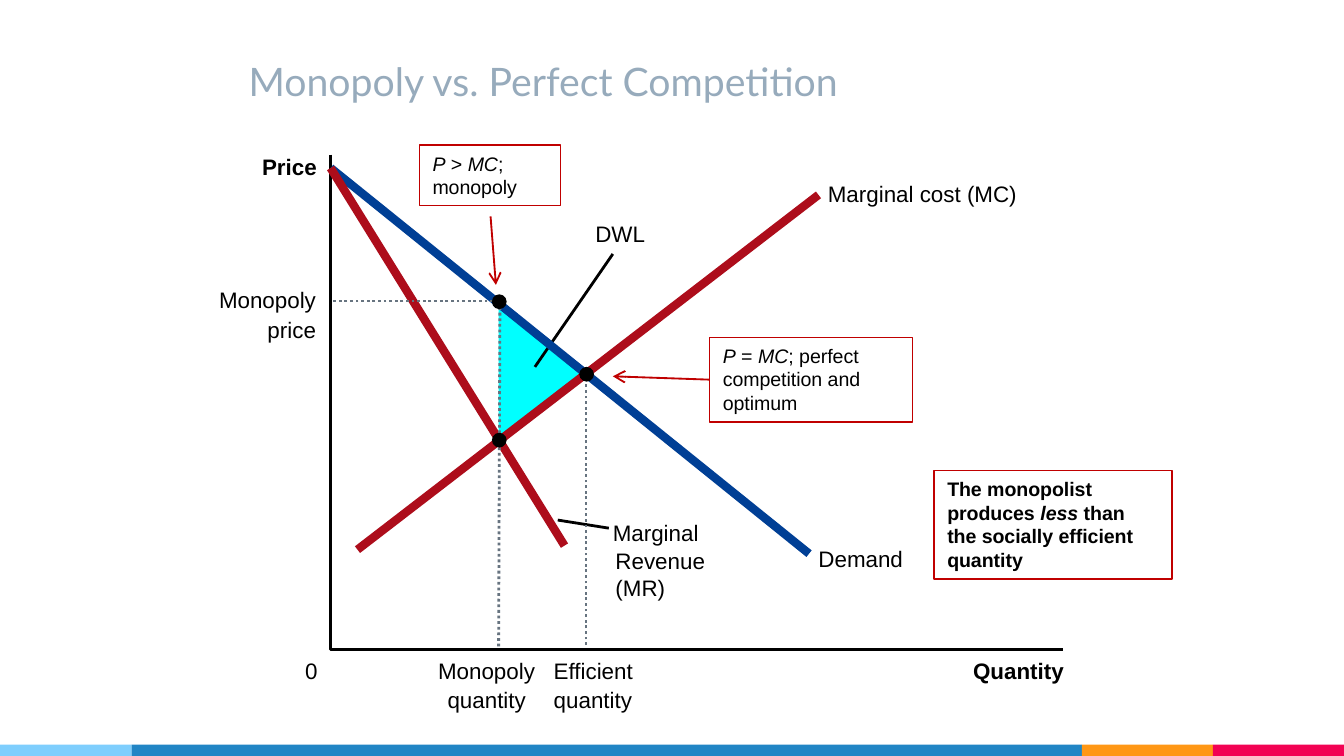
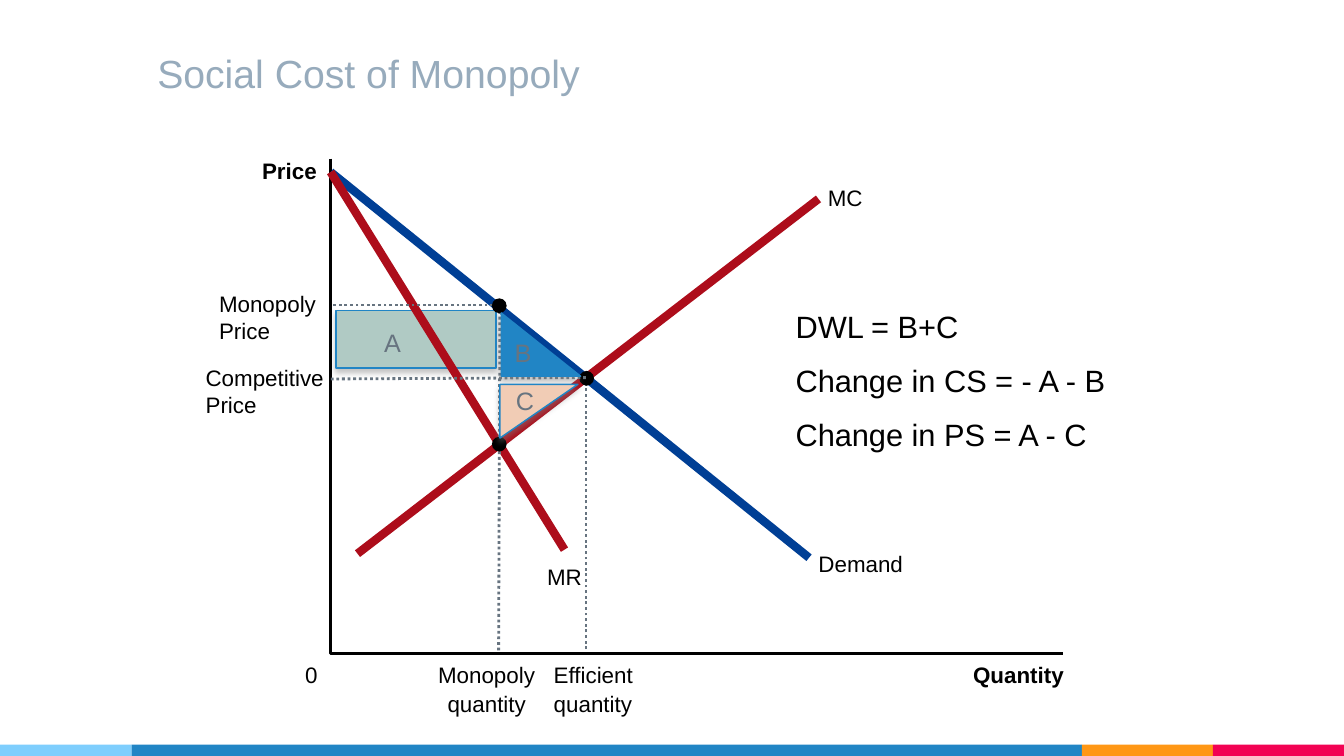
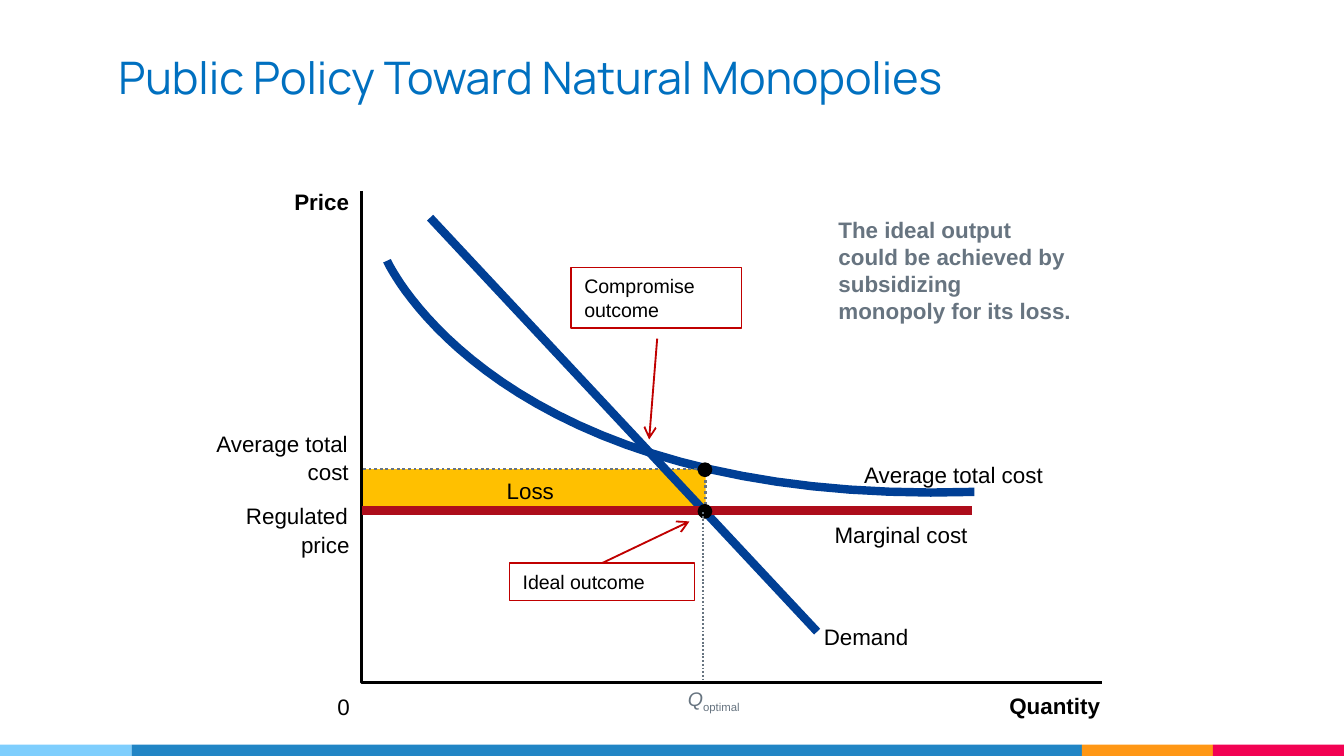
"""Build three economics slides on monopoly, its social cost and natural monopolies."""
import dataclasses

import pptx
import pptx.dml.color
import pptx.enum.dml
import pptx.enum.shapes
import pptx.enum.text
import pptx.oxml
import pptx.oxml.ns
import pptx.util


@dataclasses.dataclass(frozen=True)
class Theme:
    black: str = "000000"
    grey: str = "677480"
    pale: str = "97ABBC"
    heading: str = "0070C0"
    blue: str = "2185C5"
    sky: str = "7ECEFD"
    orange: str = "FF9715"
    pink: str = "F20253"
    demand: str = "003F95"
    cost: str = "AD0D1B"
    callout: str = "C00000"
    deadweight: str = "00FFFF"
    loss: str = "FFC000"
    transfer: str = "B0CAC4"
    producer: str = "F1CCB5"
    font: str = "Arial"
    policy_size: float = 24
    title_size: float = 21
    formula_size: float = 16.5
    letter_size: float = 13.5
    label_size: float = 12
    callout_size: float = 10.5
    curve: float = 4.5
    axis: float = 1.5
    arrow: float = 1


theme = Theme()
rgb = pptx.dml.color.RGBColor.from_string
Pt = pptx.util.Pt
preset = pptx.enum.shapes.MSO_SHAPE
dotted = pptx.enum.dml.MSO_LINE.ROUND_DOT

deck = pptx.Presentation()
deck.slide_width = pptx.util.Inches(10)
deck.slide_height = pptx.util.Inches(5.625)
cell = deck.slide_width // 100


def write(frame, lines, size, color=theme.black, font=theme.font, inset=0, wrap=True, gap=0):
    """Fill a text frame; each line is a list of (text, style) runs."""
    frame.word_wrap = wrap
    frame.auto_size = pptx.enum.text.MSO_AUTO_SIZE.SHAPE_TO_FIT_TEXT
    frame.vertical_anchor = pptx.enum.text.MSO_ANCHOR.TOP
    frame.margin_left = frame.margin_right = int(cell * inset)
    frame.margin_top = frame.margin_bottom = int(cell * inset / 2)
    for number, line in enumerate(lines):
        paragraph = frame.add_paragraph() if number else frame.paragraphs[0]
        paragraph.alignment = pptx.enum.text.PP_ALIGN.LEFT
        paragraph.space_before = Pt(gap if number else 0)
        for text, style in line:
            run = paragraph.add_run()
            run.text = text
            run.font.size, run.font.name = Pt(size), font
            run.font.color.rgb = rgb(color)
            run.font.bold, run.font.italic = "b" in style, "i" in style
            if "s" in style:
                run._r.get_or_add_rPr().set("baseline", "-25000")


def draw_line(slide, start, end, color, weight, dash=None, arrow=False):
    """Join two grid points with a straight line."""
    line = slide.shapes.add_connector(
        pptx.enum.shapes.MSO_CONNECTOR.STRAIGHT, *(int(cell * n) for n in (*start, *end)))
    line.line.color.rgb = rgb(color)
    line.line.width = Pt(weight)
    if dash:
        line.line.dash_style = dash
    if arrow:
        head = pptx.oxml.parse_xml(f'<a:tailEnd {pptx.oxml.ns.nsdecls("a")} type="arrow"/>')
        line.line._get_or_add_ln().append(head)
    line.element.spPr.append(pptx.oxml.parse_xml(f'<a:effectLst {pptx.oxml.ns.nsdecls("a")}/>'))
    return line


layout = deck.slide_layouts[5]
headings = [
    ("Monopoly vs. Perfect Competition", (17.5, 0.7, 66.9, 8.1), theme.title_size, theme.pale, "Lato"),
    ("Social Cost of Monopoly", (10.7, 0.1, 66.9, 8.1), theme.title_size, theme.pale, theme.font),
    ("Public Policy Toward Natural Monopolies", (7.8, 4.7, 71, 4), theme.policy_size,
     theme.heading, "Manrope"),
]
slides = []
for text, box, size, color, font in headings:
    slide = deck.slides.add_slide(layout)
    title = slide.shapes.title
    title.left, title.top, title.width, title.height = (int(cell * n) for n in box)
    write(title.text_frame, [[(text, "")]], size, color, font, inset=1)
    title.text_frame.auto_size = pptx.enum.text.MSO_AUTO_SIZE.NONE
    title.text_frame.vertical_anchor = pptx.enum.text.MSO_ANCHOR.BOTTOM
    title.text_frame.margin_bottom = cell
    slides.append(slide)
competition, social, policy = slides

band_left = 0
for number, (width, color) in enumerate(
        [(9.8, theme.sky), (70.7, theme.blue), (9.75, theme.orange), (9.75, theme.pink)]):
    band = competition.shapes.add_shape(
        preset.RECTANGLE, *(int(cell * n) for n in (band_left, 55.4, width, 0.85)))
    band.shadow.inherit = False
    band.fill.solid()
    band.fill.fore_color.rgb = rgb(color)
    band.line.fill.background()
    band.element.nvSpPr.cNvPr.id = 20 + number
    layout.shapes.element.append(band.element)
    band_left += width

loss = policy.shapes.add_shape(preset.RECTANGLE, *(int(cell * n) for n in (27, 34.9, 25.5, 3.2)))
loss.shadow.inherit = False
loss.fill.solid()
loss.fill.fore_color.rgb = rgb(theme.loss)
loss.line.fill.background()

average_cost = []
for step in range(33):
    t = step / 32
    weights = ((1 - t) ** 3, 3 * t * (1 - t) ** 2, 3 * t * t * (1 - t), t ** 3)
    average_cost.append(tuple(
        sum(w * n for w, n in zip(weights, axis))
        for axis in ((28.8, 28.8, 37, 72.5), (19.4, 19.4, 37.7, 36.6))))

outlines = [
    (competition, [(37.1, 22.4), (37.1, 32.7), (43.6, 27.8)], theme.deadweight, None, 0, None),
    (competition, [(24.6, 11.5), (24.6, 48.3), (79.1, 48.3)], None, theme.black, theme.axis, None),
    (social, [(24.6, 11.8), (24.6, 48.6), (79.1, 48.6)], None, theme.black, theme.axis, None),
    (policy, [(26.9, 14.2), (26.9, 50.8), (82, 50.8)], None, theme.black, theme.axis, None),
    (policy, average_cost, None, theme.demand, theme.curve, None),
    (policy, [(52.5, 38), (52.5, 34.9), (27, 34.9)], None, theme.grey, theme.axis, dotted),
]
for slide, points, fill, color, weight, dash in outlines:
    corners = [(int(cell * x), int(cell * y)) for x, y in points]
    builder = slide.shapes.build_freeform(*corners[0])
    builder.add_line_segments(corners[1:], close=fill is not None)
    outline = builder.convert_to_shape()
    outline.shadow.inherit = False
    if fill:
        outline.fill.solid()
        outline.fill.fore_color.rgb = rgb(fill)
        outline.line.fill.background()
    else:
        outline.fill.background()
        outline.line.color.rgb = rgb(color)
        outline.line.width = Pt(weight)
        outline.line.dash_style = dash

draw_line(competition, (39.8, 27.3), (45.6, 18.9), theme.black, theme.axis)
draw_line(competition, (41.5, 38.7), (45.3, 39.3), theme.black, theme.axis)
dots = []
labels = []
for slide, drop in ((competition, 0), (social, 0.3)):
    for start, end, color, weight, dash in [
            ((24.6, 12.5), (60.2, 41.2), theme.demand, theme.curve, None),
            ((24.6, 12.5), (42, 40.6), theme.cost, theme.curve, None),
            ((60.9, 14.5), (26.6, 40.9), theme.cost, theme.curve, None),
            ((43.6, 48), (43.6, 27.8), theme.grey, theme.axis, dotted),
            ((37.1, 48.1), (37.2, 22.4), theme.grey, theme.axis, dotted),
            ((37.1, 22.4), (24.6, 22.4), theme.grey, theme.axis, dotted)]:
        draw_line(slide, (start[0], start[1] + drop), (end[0], end[1] + drop), color, weight, dash)
    dots += [(slide, x, y + drop) for x, y in ((37.15, 32.75), (43.65, 27.85), (37.15, 22.45))]
    labels += [(slide, x, y + drop, width, text, style) for x, y, width, text, style in [
        (72.4, 48.9, 6.8, "Quantity", "b"), (22.7, 48.9, 0.9, "0", ""), (19.5, 11.4, 4.1, "Price", "b"),
        (60.9, 40.6, 6.3, "Demand", ""), (41.2, 48.9, 6, "Efficient", ""),
        (41.2, 51.05, 5.9, "quantity", ""), (32.6, 48.9, 7.3, "Monopoly", ""),
        (33.3, 51.05, 5.9, "quantity", "")]]

draw_line(policy, (32, 16.2), (60.8, 47), theme.demand, theme.curve)
draw_line(policy, (26.9, 38), (72.3, 38), theme.cost, theme.curve)
dots += [(policy, 52.45, 38.05), (policy, 52.45, 34.95)]
for slide, x, y in dots:
    dot = slide.shapes.add_shape(
        preset.OVAL, *(int(cell * n) for n in (x - 0.55, y - 0.55, 1.1, 1.1)))
    dot.shadow.inherit = False
    dot.fill.solid()
    dot.fill.fore_color.rgb = rgb(theme.black)
    dot.line.fill.background()

draw_line(social, (43.6, 28.1), (24.6, 28.2), theme.grey, theme.axis, dotted)
draw_line(policy, (52.3, 38.1), (52.3, 50.6), theme.grey, theme.arrow, dotted)

surplus_areas = [
    (preset.RECTANGLE, (25, 23.1, 11.9, 4.3), 0, theme.transfer),
    (preset.RIGHT_TRIANGLE, (37.3, 23.3, 5.9, 4.7), 0, theme.blue),
    (preset.RIGHT_TRIANGLE, (38.1, 27.7, 4, 5.8), 90, theme.producer),
]
for number, (form, box, turn, color) in enumerate(surplus_areas):
    area = social.shapes.add_shape(form, *(int(cell * n) for n in box))
    area.rotation = turn
    area.fill.solid()
    area.fill.fore_color.rgb = rgb(color)
    area.line.color.rgb = rgb(theme.blue)
    area.line.width = Pt(0.79)
    area.element.spPr.append(pptx.oxml.parse_xml(
        f'<a:effectLst {pptx.oxml.ns.nsdecls("a")}>'
        f'<a:outerShdw blurRad="{Pt(3)}" dist="{Pt(2.4)}" dir="5400000" rotWithShape="0">'
        f'<a:srgbClr val="808080"><a:alpha val="45000"/></a:srgbClr></a:outerShdw></a:effectLst>'))
    if number == 0:
        social.shapes.element.insert(2, area.element)

labels += [
    (competition, 44.3, 16.4, 3.7, "DWL", ""),
    (competition, 45.6, 38.6, 6.4, "Marginal", ""),
    (competition, 45.8, 40.7, 6.7, "Revenue\n(MR)", ""),
    (competition, 61.6, 13.4, 14.2, "Marginal cost (MC)", ""),
    (competition, 16.3, 21.3, 7.3, "Monopoly", ""),
    (competition, 19.9, 23.5, 3.6, "price", ""),
    (social, 40.7, 41.9, 2.6, "MR", ""),
    (social, 61.6, 13.7, 2.6, "MC", ""),
    (social, 16.3, 21.6, 7.3, "Monopoly\nPrice", ""),
    (social, 15.3, 27.1, 8.9, "Competitive\nPrice", ""),
    (policy, 37.7, 35.5, 3.5, "Loss", ""),
    (policy, 75.1, 51.5, 6.8, "Quantity", "b"),
    (policy, 25.1, 51.6, 0.9, "0", ""),
    (policy, 21.9, 14, 4.1, "Price", "b"),
    (policy, 61.3, 46.4, 6.3, "Demand", ""),
    (policy, 64.3, 34.3, 13.5, "Average total cost", ""),
    (policy, 18.3, 37.4, 7.6, "Regulated", ""),
    (policy, 22.4, 39.5, 3.6, "price", ""),
    (policy, 62.1, 38.8, 10, "Marginal cost", ""),
    (policy, 16.1, 32, 9.9, "Average total", ""),
    (policy, 22.9, 34.1, 3.1, "cost", ""),
]
label_slack = 0.3
for slide, x, y, width, text, style in labels:
    lines = [[(line, style)] for line in text.split("\n")]
    label = slide.shapes.add_textbox(
        *(int(cell * n) for n in (x, y, width + label_slack, 2 * len(lines))))
    write(label.text_frame, lines, theme.label_size, wrap=False)

notes = [
    (social, (59.2, 22.9, 25.2, 10.9),
     [[("DWL = B+C", "")], [("Change in CS = - A - B", "")], [("Change in PS = A - C", "")]],
     theme.formula_size, theme.black, 0),
    (social, (27.6, 23.9, 6, 3.3), [[("A", "")]], theme.letter_size, theme.grey, 1),
    (social, (37.3, 24.6, 3.8, 3.3), [[("B", "")]], theme.letter_size, theme.grey, 1),
    (social, (37.4, 28.2, 3.8, 3.3), [[("C", "")]], theme.letter_size, theme.grey, 1),
    (policy, (61.4, 15.6, 19.4, 9.1),
     [[("The ideal output could be achieved by subsidizing monopoly for its loss.", "b")]],
     theme.label_size, theme.grey, 1),
    (policy, (50.2, 50.6, 7.7, 2.8), [[("Q", "i"), ("optimal", "s")]],
     theme.callout_size, theme.grey, 1),
]
for slide, box, lines, size, color, inset in notes:
    note = slide.shapes.add_textbox(*(int(cell * n) for n in box))
    write(note.text_frame, lines, size, color, inset=inset, gap=9)

callouts = [
    (competition, (31.2, 10.8, 10.5, 4.5),
     [("P", "i"), (" > ", ""), ("MC", "i"), ("; monopoly", "")], (36.5, 16.1), (36.9, 21.2), None),
    (competition, (52.8, 25.1, 15.1, 6.3),
     [("P", "i"), (" = ", ""), ("MC", "i"), ("; perfect competition and optimum", "")],
     (52.8, 28.2), (45.6, 28), 1),
    (competition, (69.5, 35, 17.7, 8.1),
     [("The monopolist produces ", "b"), ("less ", "bi"), ("than the socially efficient quantity", "b")],
     None, None, None),
    (policy, (37.9, 41.9, 13.8, 2.8), [("Ideal outcome", "")], (44.8, 41.9), (51.3, 38.8), 0),
    (policy, (42.5, 19.9, 12.7, 4.5), [("Compromise outcome", "")], (48.9, 25.2), (48.3, 32.7), None),
]
for slide, box, runs, start, end, side in callouts:
    callout = slide.shapes.add_shape(preset.RECTANGLE, *(int(cell * n) for n in box))
    callout.shadow.inherit = False
    callout.fill.background()
    callout.line.color.rgb = rgb(theme.callout)
    callout.line.width = Pt(0.75)
    write(callout.text_frame, [runs], theme.callout_size, inset=1)
    if start:
        pointer = draw_line(slide, start, end, theme.callout, theme.arrow, arrow=True)
        if side is not None:
            pointer.begin_connect(callout, side)

deck.save("out.pptx")
